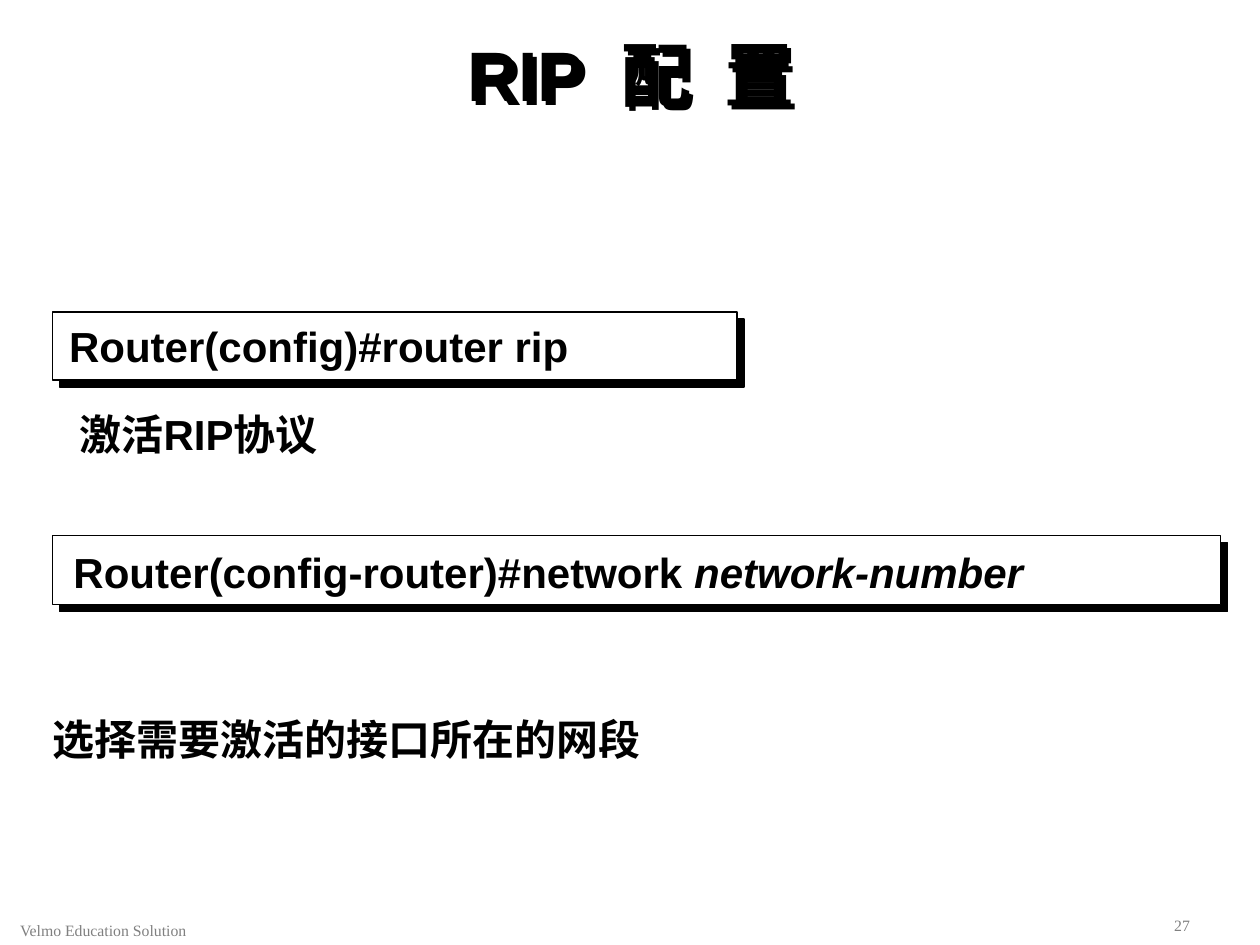
"""Build the RIP configuration slide with its two router commands."""
from lxml.etree import SubElement as Sub
from pptx import Presentation
from pptx.dml.color import RGBColor as RGB
from pptx.enum.shapes import MSO_SHAPE as SHAPE
from pptx.enum.text import MSO_ANCHOR as ANCHOR, PP_ALIGN as ALIGN
from pptx.oxml.ns import qn
from pptx.util import Pt

COLORS = {"ink": "000000", "paper": "FFFFFF", "gray": "808080"}
BOLD = {"size": Pt(24), "bold": True, "name": "Arial"}
SMALL = {"size": Pt(9), "name": "Times New Roman"}


def set_box(shape, place, inset, anchor, wrap):
    shape.left, shape.top, shape.width, shape.height = map(Pt, place)
    frame = shape.text_frame
    sides = ("left", "top", "right", "bottom")
    for side, gap in zip(sides, inset):
        setattr(frame, f"margin_{side}", Pt(gap))
    frame.vertical_anchor = anchor
    frame.word_wrap = wrap
    return frame.paragraphs[0]


def add_run(para, text, form, color="ink"):
    run = para.add_run()
    run.text = text
    for key, value in form.items():
        setattr(run.font, key, value)
    run.font.color.rgb = RGB.from_string(COLORS[color])
    return run._r.get_or_add_rPr()


deck = Presentation()
deck.slide_width, deck.slide_height = Pt(720), Pt(540)
slide = deck.slides.add_slide(deck.slide_layouts[1])
shapes = slide.shapes
title, body = slide.placeholders
wide, slim = (6.5, 3, 6.5, 3), (1.5, 2, 1.5, 2)

para = set_box(title, (60.5, 0, 600.5, 90), wide, ANCHOR.MIDDLE, True)
para.alignment = ALIGN.CENTER
para.line_spacing = 0.9
for part in ("RIP", " ", "配", " ", "置"):
    props = add_run(para, part, {**BOLD, "size": Pt(40)})
    if part == " ":
        props.set("spc", "1000")

para = set_box(body, (-23, 236, 556, 30), wide, ANCHOR.MIDDLE, True)
para.level = 1
props = para._p.get_or_add_pPr()
props.set("marL", str(Pt(45)))
props.set("indent", str(Pt(17)))
Sub(props, qn("a:buNone"))
para.line_spacing = 0.75
para.space_after = Pt(4.5)
para.space_before = Pt(0)
add_run(para, "激活RIP协议", BOLD)

shaded = [(title, 3)]
for top, width, height in ((178.5, 391, 38.5), (306, 667.5, 39.5)):
    panel = shapes.add_shape(SHAPE.RECTANGLE, Pt(30), Pt(top), Pt(width), Pt(height))
    panel.fill.solid()
    panel.fill.fore_color.rgb = RGB.from_string(COLORS["paper"])
    panel.line.color.rgb = RGB.from_string(COLORS["ink"])
    panel.line.width = Pt(1)
    shaded.append((panel, 5.7))

for shape, shift in shaded:
    shape.shadow.inherit = False
    effects = shape._element.spPr.find(qn("a:effectLst"))
    shade = Sub(effects, qn("a:outerShdw"), dist=str(Pt(shift)), dir="2700000")
    Sub(shade, qn("a:srgbClr"), val=COLORS["ink"])

lines = (
    ((38, 178.5, 300, 49.5), slim, ANCHOR.TOP,
     (("Router(config)#router rip", False),)),
    ((40.5, 307.5, 560, 49.5), slim, ANCHOR.TOP,
     (("Router(config-router)#network ", False), ("network-number", True))),
    ((18, 396, 396, 49.5), (12, 2, 1.5, 2), ANCHOR.MIDDLE,
     (("选择需要激活的接口所在的网段", False),)),
)
for place, inset, anchor, parts in lines:
    box = shapes.add_textbox(0, 0, 0, 0)
    para = set_box(box, place, inset, anchor, True)
    para.line_spacing = Pt(31.5)
    for text, slant in parts:
        add_run(para, text, {**BOLD, "italic": slant})

notes = (("27", (664.5, 520, 50.5, 17)),
         ("Velmo Education Solution", (5, 522.5, 125, 17.5)))
for text, place in notes:
    box = shapes.add_textbox(0, 0, 0, 0)
    para = set_box(box, place, wide, ANCHOR.BOTTOM, True)
    add_run(para, text, SMALL, "gray")

deck.save("out.pptx")
